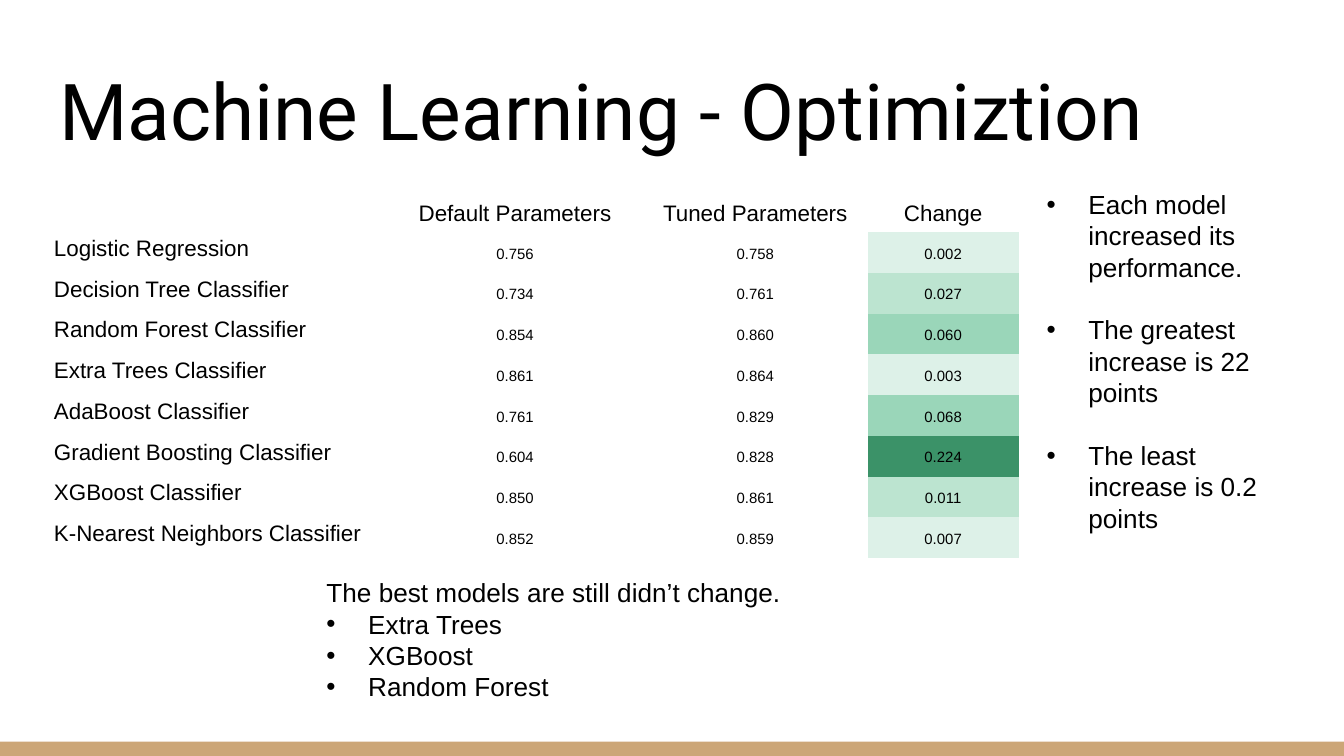
from lxml import etree
from pptx import Presentation
from pptx.dml.color import RGBColor
from pptx.enum.shapes import MSO_SHAPE
from pptx.enum.text import MSO_ANCHOR, MSO_AUTO_SIZE, PP_ALIGN
from pptx.oxml.ns import qn
from pptx.util import Cm, Pt

RECT = MSO_SHAPE.RECTANGLE
TOP, MIDDLE, BOTTOM = MSO_ANCHOR.TOP, MSO_ANCHOR.MIDDLE, MSO_ANCHOR.BOTTOM
LEFT, CENTER = PP_ALIGN.LEFT, PP_ALIGN.CENTER
GROW = MSO_AUTO_SIZE.SHAPE_TO_FIT_TEXT

COLORS = {
    "text": "000000",
    "band": "CCA677",
    "faint": "DDF1E8",
    "light": "BCE4D0",
    "medium": "9AD6B9",
    "strong": "3B9268",
}
NO_STYLE_NO_GRID = "{2D5ABB26-0587-4C30-8999-92F81FD0307C}"
NOTE_LINE = Pt(16.8)

HEADERS = ["", "Default Parameters", "Tuned Parameters", "Change"]
MODELS = [
    ("Logistic Regression", "0.756", "0.758", "0.002", "faint"),
    ("Decision Tree Classifier", "0.734", "0.761", "0.027", "light"),
    ("Random Forest Classifier", "0.854", "0.860", "0.060", "medium"),
    ("Extra Trees Classifier", "0.861", "0.864", "0.003", "faint"),
    ("AdaBoost Classifier", "0.761", "0.829", "0.068", "medium"),
    ("Gradient Boosting Classifier", "0.604", "0.828", "0.224", "strong"),
    ("XGBoost Classifier", "0.850", "0.861", "0.011", "light"),
    ("K-Nearest Neighbors Classifier", "0.852", "0.859", "0.007", "faint"),
]
COL_WIDTHS = [6.45, 4.83, 4.25, 2.85]
FINDINGS = [
    "Each model increased its performance.",
    "The greatest increase is 22 points",
    "The least increase is 0.2 points",
]
BEST_MODELS = ["Extra Trees", "XGBoost", "Random Forest"]


def rgb(name):
    return RGBColor.from_string(COLORS[name])


def add_run(p, text, size, font="Arial"):
    r = p.add_run()
    r.text = text
    r.font.size = Pt(size)
    r.font.name = font
    r.font.color.rgb = rgb("text")


def add_text_frame(s, box):
    tf = s.shapes.add_textbox(*(Cm(v) for v in box)).text_frame
    tf.word_wrap = True
    return tf


def set_bullet(p):
    """Give the paragraph a round bullet with a hanging indent."""
    pPr = p._p.get_or_add_pPr()
    pPr.set("marL", str(Cm(0.79)))
    pPr.set("indent", str(-Cm(0.79)))
    color = etree.SubElement(pPr, qn("a:buClr"))
    etree.SubElement(color, qn("a:srgbClr"), val=COLORS["text"])
    etree.SubElement(pPr, qn("a:buFont"), typeface="Arial")
    etree.SubElement(pPr, qn("a:buChar"), char="•")


def add_band(s, box):
    sp = s.shapes.add_shape(RECT, *(Cm(v) for v in box))
    sp.shadow.inherit = False
    sp.fill.solid()
    sp.fill.fore_color.rgb = rgb("band")
    sp.line.fill.background()


def add_title(s, box, text):
    tf = add_text_frame(s, box)
    tf.vertical_anchor = BOTTOM
    tf.margin_left = tf.margin_right = tf.margin_top = tf.margin_bottom = Cm(0.25)
    add_run(tf.paragraphs[0], text, 42, "Roboto")


def fill_cell(cell, text, size, align, anchor, fill=None):
    cell.margin_left = cell.margin_right = Cm(0.15)
    cell.margin_top = cell.margin_bottom = 0
    cell.vertical_anchor = anchor
    if fill:
        cell.fill.solid()
        cell.fill.fore_color.rgb = rgb(fill)
    else:
        cell.fill.background()
    p = cell.text_frame.paragraphs[0]
    p.alignment = align
    p.line_spacing = 1.15
    if text:
        add_run(p, text, size)
    else:
        etree.SubElement(p._p, qn("a:endParaRPr"), sz=str(size * 100))


def add_score_table(s, box):
    frame = s.shapes.add_table(len(MODELS) + 1, len(HEADERS), *(Cm(v) for v in box))
    table = frame.table
    table.first_row = table.horz_banding = False
    table._tbl.tblPr.find(qn("a:tableStyleId")).text = NO_STYLE_NO_GRID
    for column, width in zip(table.columns, COL_WIDTHS):
        column.width = Cm(width)
    for i, row in enumerate(table.rows):
        row.height = Cm(0.77 if i else 0.66)

    for col, header in enumerate(HEADERS):
        fill_cell(table.cell(0, col), header, 12, CENTER, TOP)
    for i, (model, default, tuned, change, shade) in enumerate(MODELS, 1):
        fill_cell(table.cell(i, 0), model, 12, LEFT, TOP)
        fill_cell(table.cell(i, 1), default, 8, CENTER, MIDDLE)
        fill_cell(table.cell(i, 2), tuned, 8, CENTER, MIDDLE)
        fill_cell(table.cell(i, 3), change, 8, CENTER, MIDDLE, shade)


def add_notes_list(s, box, items, lead=None, gap=0):
    """Place a bulleted list, below an optional plain lead line."""
    tf = add_text_frame(s, box)
    tf.auto_size = GROW
    tf.margin_top = tf.margin_bottom = Cm(0.13)
    lines = ([lead] if lead else []) + items
    for i, text in enumerate(lines):
        p = tf.add_paragraph() if i else tf.paragraphs[0]
        p.line_spacing = NOTE_LINE
        if i:
            p.space_before = gap
        if text != lead:
            set_bullet(p)
        add_run(p, text, 14)


def main():
    prs = Presentation()
    prs.slide_width, prs.slide_height = Cm(25.4), Cm(14.29)
    s = prs.slides.add_slide(prs.slide_layouts[6])
    add_band(s, (0, 14.02, 25.4, 0.27))
    add_title(s, (0.87, 0.89, 23.67, 2.31), "Machine Learning - Optimiztion")
    add_score_table(s, (0.87, 3.73, 18.38, 6.82))
    add_notes_list(s, (19.53, 3.43, 4.98, 6.83), FINDINGS, gap=NOTE_LINE)
    add_notes_list(s, (5.92, 10.77, 13.56, 2.64), BEST_MODELS,
                   lead="The best models are still didn’t change.")
    prs.save("out.pptx")


if __name__ == "__main__":
    main()
